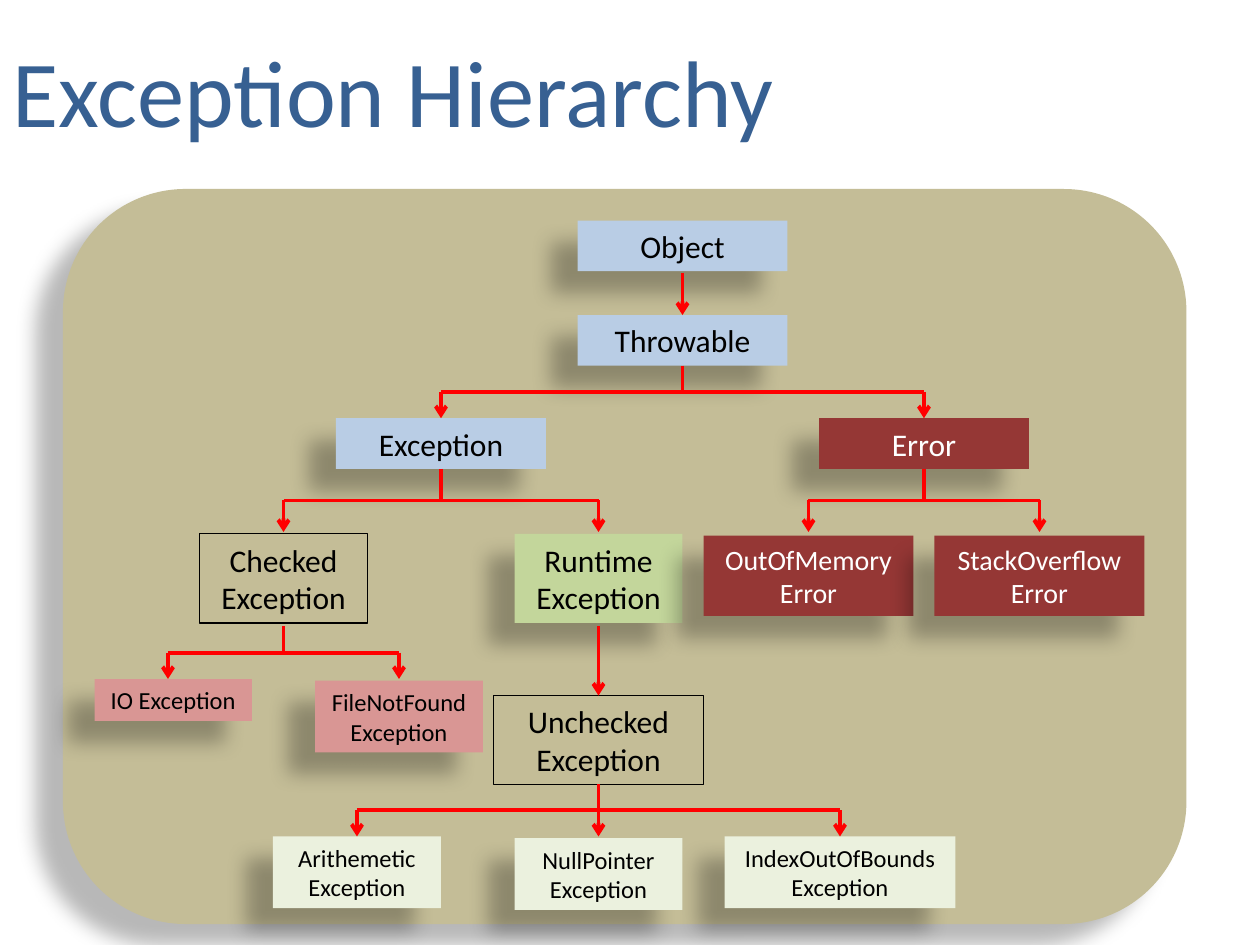
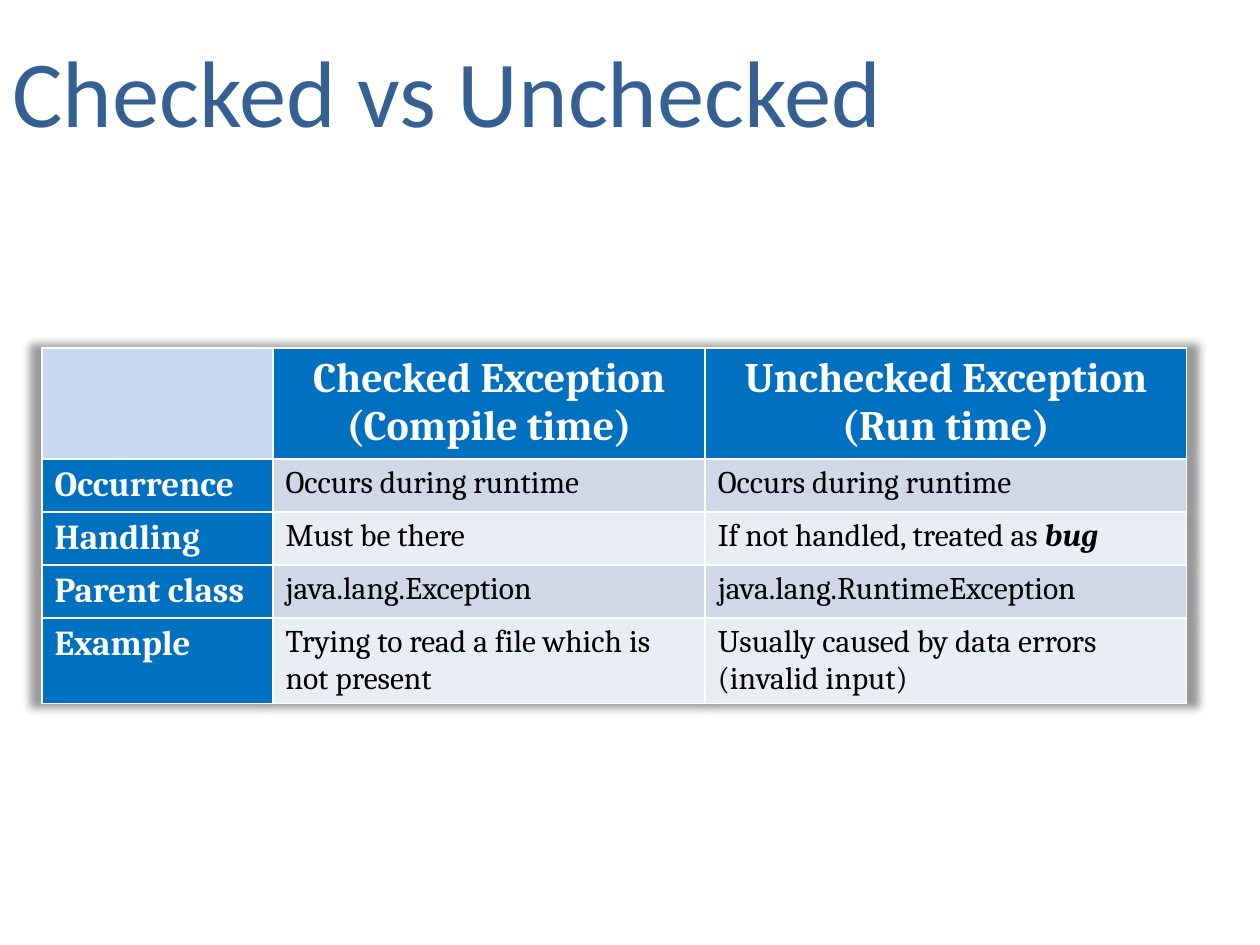
"""Build two slides on Java exceptions: the class hierarchy and a comparison table."""
from lxml.etree import SubElement
from pptx import Presentation
from pptx.dml.color import RGBColor
from pptx.enum.shapes import MSO_CONNECTOR as CONNECTOR, MSO_SHAPE as SHAPE
from pptx.enum.text import MSO_ANCHOR as ANCHOR, PP_ALIGN as ALIGN
from pptx.oxml import parse_xml
from pptx.oxml.ns import nsdecls, qn
from pptx.util import Pt

COLORS = {
    "title": "376092", "panel": "C4BD97", "base": "B9CDE5", "error": "953735",
    "runtime": "C3D69B", "checked": "D99694", "unchecked": "EBF1DE",
    "arrow": "FF0000", "black": "000000", "white": "FFFFFF",
    "corner": "C6D9F1", "header": "0070C0", "band_dark": "D0D8E8", "band_light": "E9EDF4",
}
RGB = {name: RGBColor.from_string(value) for name, value in COLORS.items()}
BOX_SHADOW = 'blurRad="149987" dist="250190" dir="8460000" algn="ctr" rotWithShape="0"', 28000
TABLE_SHADOW = 'blurRad="63500" sx="102000" sy="102000" algn="ctr" rotWithShape="0"', 40000


def make_shadow(attributes, alpha):
    return parse_xml(
        f'<a:effectLst {nsdecls("a")}><a:outerShdw {attributes}><a:srgbClr val="{COLORS["black"]}">'
        f'<a:alpha val="{alpha}"/></a:srgbClr></a:outerShdw></a:effectLst>')


def add_line(x1, y1, x2, y2, arrow=False):
    connector = hierarchy.shapes.add_connector(CONNECTOR.STRAIGHT, Pt(x1), Pt(y1), Pt(x2), Pt(y2))
    connector.line.color.rgb = RGB["arrow"]
    connector.line.width = Pt(2.25)
    if arrow:
        SubElement(connector.line._get_or_add_ln(), qn("a:tailEnd"), type="arrow")
    SubElement(connector._element.spPr, qn("a:effectLst"))


presentation = Presentation()
presentation.slide_width, presentation.slide_height = Pt(720), Pt(540)

slides = []
for heading in ("Exception Hierarchy", "Checked vs Unchecked"):
    slide = presentation.slides.add_slide(presentation.slide_layouts[5])
    title = slide.shapes.title
    title.left, title.top, title.width, title.height = Pt(0), Pt(0), Pt(564), Pt(102)
    title.text_frame.text = heading
    title.text_frame.vertical_anchor = ANCHOR.MIDDLE
    paragraph = title.text_frame.paragraphs[0]
    paragraph.alignment = ALIGN.LEFT
    font = paragraph.runs[0].font
    font.name, font.size, font.color.rgb = "Calibri", Pt(54), RGB["title"]
    slides.append(slide)
hierarchy, comparison = slides

panel = hierarchy.shapes.add_shape(SHAPE.ROUNDED_RECTANGLE, Pt(36), Pt(108), Pt(642), Pt(420))
panel.fill.solid()
panel.fill.fore_color.rgb = RGB["panel"]
panel.line.fill.background()
panel._element.spPr.append(make_shadow(*BOX_SHADOW))

boxes = [
    ("Object", 390, 126, 120, 29, 18, "base"),
    ("Throwable", 390, 180, 120, 29, 18, "base"),
    ("Exception", 252, 239, 120, 29, 18, "base"),
    ("Error", 528, 239, 120, 29, 18, "error"),
    ("Checked Exception", 162, 305, 96, 51, 18, None),
    ("Runtime Exception", 342, 305, 96, 51, 18, "runtime"),
    ("OutOfMemory Error", 462, 306, 120, 46, 16, "error"),
    ("StackOverflow Error", 594, 306, 120, 46, 16, "error"),
    ("Unchecked Exception", 342, 397.5, 120, 51, 18, None),
    ("IO Exception", 99, 388, 90, 24, 14, "checked"),
    ("FileNotFound Exception", 228, 389, 96, 41, 14, "checked"),
    ("Arithemetic Exception", 204, 478, 96, 41, 14, "unchecked"),
    ("NullPointer Exception", 342, 479, 96, 41, 14, "unchecked"),
    ("IndexOutOfBounds Exception", 480, 478, 132, 41, 14, "unchecked"),
]
for label, center, top, width, height, size, color in boxes:
    box = hierarchy.shapes.add_shape(
        SHAPE.RECTANGLE, Pt(center - width / 2), Pt(top), Pt(width), Pt(height))
    if color:
        box.fill.solid()
        box.fill.fore_color.rgb = RGB[color]
        box.line.fill.background()
        box._element.spPr.append(make_shadow(*BOX_SHADOW))
    else:
        box.fill.background()
        box.line.color.rgb = RGB["black"]
        box.line.width = Pt(0.75)
        box.shadow.inherit = False
    box.text_frame.text = label
    paragraph = box.text_frame.paragraphs[0]
    paragraph.alignment = ALIGN.CENTER
    font = paragraph.runs[0].font
    font.name, font.size = "Calibri", Pt(size)
    font.color.rgb = RGB["white" if color == "error" else "black"]

add_line(390, 156, 390, 180, arrow=True)
add_line(342, 358, 342, 397.5, arrow=True)
branches = [
    (390, 209, 239, (252, 528)),
    (252, 268, 304, (162, 342)),
    (528, 268, 304, (462, 594)),
    (162, 358, 388, (96, 228)),
    (342, 448, 478, (204, 342, 480)),
]
for parent, top, bottom, children in branches:
    middle = (top + bottom) / 2
    add_line(parent, top, parent, middle)
    add_line(children[0], middle, children[-1], middle)
    for child in children:
        add_line(child, middle, child, bottom, arrow=True)

rows = [
    ("", "Checked Exception\n(Compile time)", "Unchecked Exception\n(Run time)"),
    ("Occurrence", "Occurs during runtime", "Occurs during runtime"),
    ("Handling", "Must be there", "If not handled, treated as "),
    ("Parent class", "java.lang.Exception", "java.lang.RuntimeException"),
    ("Example", "Trying to read a file which is not present",
     "Usually caused by data errors (invalid input)"),
]
column_widths = (132, 247, 275)
row_heights = (63.4, 30.2, 30.2, 30.2, 48.6)
table = comparison.shapes.add_table(
    len(rows), len(column_widths), Pt(24), Pt(199), Pt(sum(column_widths)), Pt(sum(row_heights))).table
table.horz_banding = False
table._tbl.tblPr.insert(0, make_shadow(*TABLE_SHADOW))
for column, width in zip(table.columns, column_widths):
    column.width = Pt(width)
for row, height in zip(table.rows, row_heights):
    row.height = Pt(height)

for row_index, texts in enumerate(rows):
    for column_index, text in enumerate(texts):
        cell = table.cell(row_index, column_index)
        is_heading = row_index == 0 or column_index == 0
        if row_index == column_index == 0:
            fill = "corner"
        elif is_heading:
            fill = "header"
        else:
            fill = "band_dark" if row_index % 2 else "band_light"
        cell.fill.solid()
        cell.fill.fore_color.rgb = RGB[fill]
        cell.text_frame.text = text
        if text.endswith("treated as "):
            bug = cell.text_frame.paragraphs[0].add_run()
            bug.text = "bug"
        for paragraph in cell.text_frame.paragraphs:
            paragraph.alignment = ALIGN.CENTER if row_index == 0 else ALIGN.LEFT
            for run in paragraph.runs:
                run.font.name = "Cambria"
                run.font.size = Pt(24 if row_index == 0 else 20 if column_index == 0 else 18)
                run.font.bold = is_heading
                run.font.color.rgb = RGB["white" if is_heading else "black"]
bug.font.bold = bug.font.italic = True

presentation.save("out.pptx")
